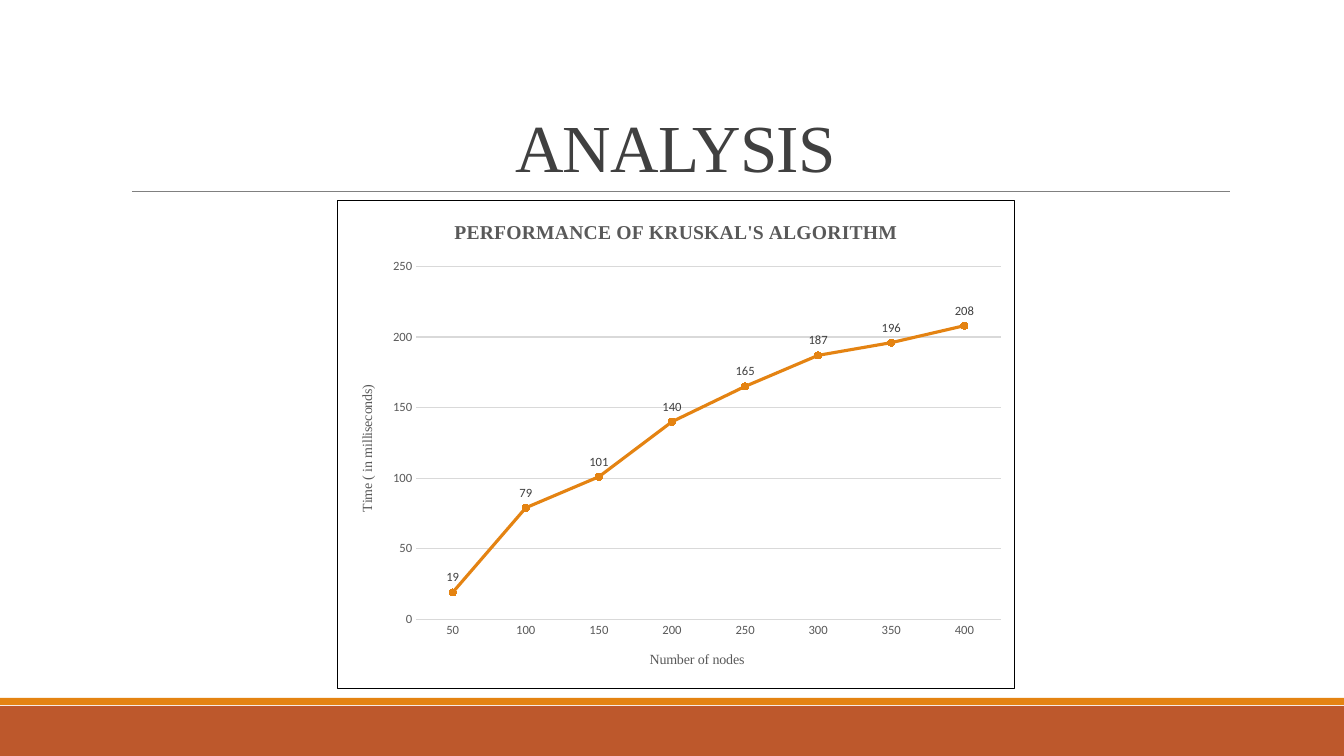
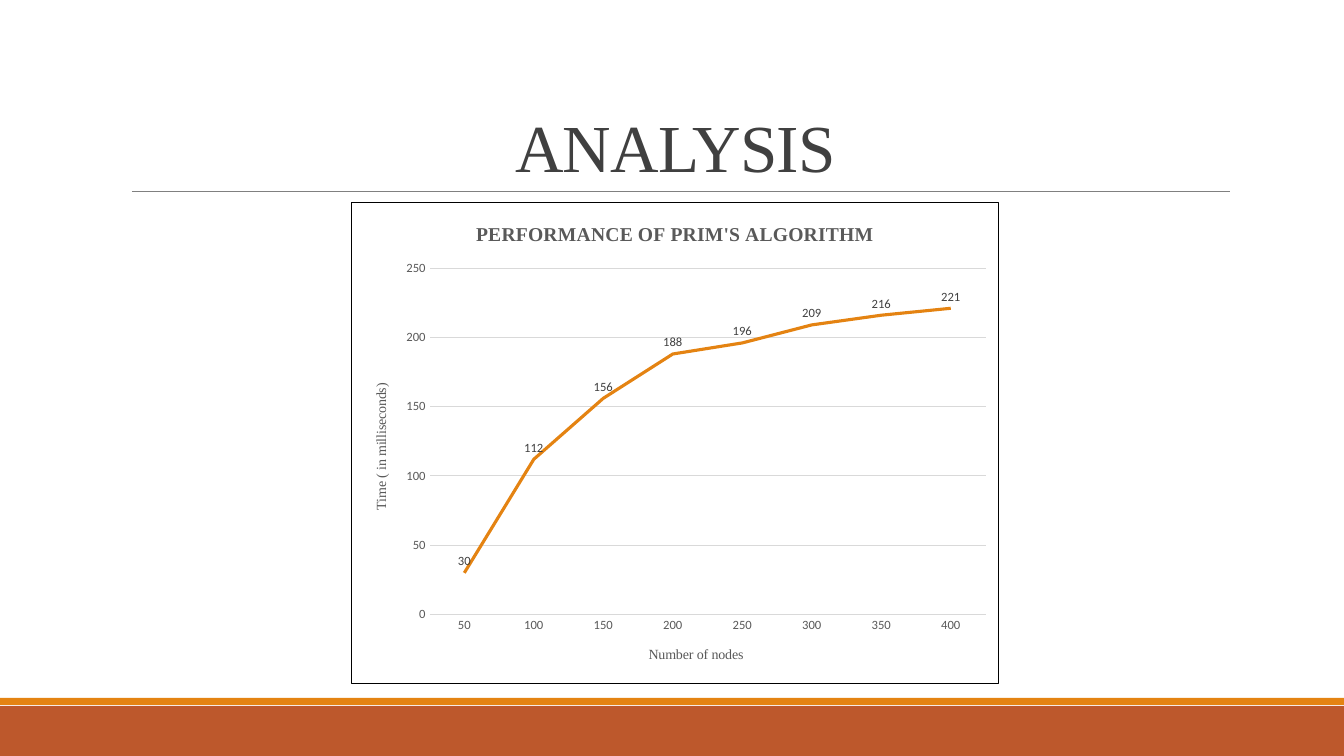
from dataclasses import dataclass

from lxml import etree
from pptx import Presentation, util as u
from pptx.chart import data as chart_data
from pptx.dml.color import RGBColor
from pptx.enum import chart as ec, shapes, text
from pptx.oxml import parse_xml
from pptx.oxml.ns import nsdecls, qn

EMU_PER_PX = 914400 / 100.8


def px(length: int) -> int:
    return round(length * EMU_PER_PX)


@dataclass(frozen=True)
class Theme:
    serif: str = "Times New Roman"
    sans: str = "Calibri"
    orange: str = "E48312"
    rust: str = "BD582C"
    rule: str = "808080"
    dark: str = "404040"
    muted: str = "595959"
    grid: str = "D9D9D9"
    border: str = "000000"
    heading_size: int = 48
    chart_title_size: int = 14
    axis_title_size: int = 10
    label_size: int = 9


@dataclass(frozen=True)
class Box:
    left: int
    top: int
    width: int
    height: int

    def emu(self) -> tuple[int, ...]:
        return tuple(px(n) for n in (self.left, self.top, self.width, self.height))


@dataclass(frozen=True)
class Band:
    box: Box
    color: str


@dataclass(frozen=True)
class Analysis:
    chart_title: str
    box: Box
    times: tuple[int, ...]
    markers: bool


THEME = Theme()
SLIDE_WIDTH, SLIDE_HEIGHT = 1344, 756
HEADING = Box(121, 31, 1109, 160)
RULE_LEFT, RULE_RIGHT, RULE_TOP = 132, 1230, 191
NODE_COUNTS = range(50, 401, 50)
BANDS = (
    Band(Box(0, 706, SLIDE_WIDTH, 50), THEME.rust),
    Band(Box(0, 698, SLIDE_WIDTH, 7), THEME.orange),
)
ANALYSES = (
    Analysis("PERFORMANCE OF KRUSKAL'S ALGORITHM", Box(337, 200, 678, 489),
             (19, 79, 101, 140, 165, 187, 196, 208), True),
    Analysis("PERFORMANCE OF PRIM'S ALGORITHM", Box(351, 202, 648, 482),
             (30, 112, 156, 188, 196, 209, 216, 221), False),
)


def style_font(font, name: str, size: int, color: str, bold: bool = False) -> None:
    font.name = name
    font.size = u.Pt(size)
    font.bold = bold
    font.color.rgb = RGBColor.from_string(color)


def style_line(line, color: str, width: float) -> None:
    line.color.rgb = RGBColor.from_string(color)
    line.width = u.Pt(width)


def set_text(frame, words: str, size: int, color: str, bold: bool = False) -> None:
    frame.text = words
    style_font(frame.paragraphs[0].runs[0].font, THEME.serif, size, color, bold)


def draw_frame(slide) -> None:
    for band in BANDS:
        strip = slide.shapes.add_shape(shapes.MSO_SHAPE.RECTANGLE, *band.box.emu())
        strip.shadow.inherit = False
        strip.fill.solid()
        strip.fill.fore_color.rgb = RGBColor.from_string(band.color)
        strip.line.fill.background()
    rule = slide.shapes.add_connector(
        shapes.MSO_CONNECTOR.STRAIGHT,
        px(RULE_LEFT), px(RULE_TOP), px(RULE_RIGHT), px(RULE_TOP))
    style_line(rule.line, THEME.rule, 0.5)
    etree.SubElement(rule.element.spPr, qn("a:effectLst"))


def write_heading(slide, words: str) -> None:
    heading = slide.shapes.title
    heading.left, heading.top, heading.width, heading.height = HEADING.emu()
    frame = heading.text_frame
    set_text(frame, words, THEME.heading_size, THEME.dark)
    frame.word_wrap = True
    frame.auto_size = text.MSO_AUTO_SIZE.NONE
    frame.vertical_anchor = text.MSO_ANCHOR.BOTTOM
    frame.paragraphs[0].alignment = text.PP_ALIGN.CENTER
    frame.paragraphs[0].line_spacing = 0.85
    for properties in heading.element.iter(qn("a:rPr")):
        properties.set("spc", "-50")


def style_axis(axis, words: str) -> None:
    axis.has_title = True
    set_text(axis.axis_title.text_frame, words, THEME.axis_title_size, THEME.muted)
    axis.major_tick_mark = axis.minor_tick_mark = ec.XL_TICK_MARK.NONE
    style_font(axis.tick_labels.font, THEME.sans, THEME.label_size, THEME.muted)


def add_border(chart) -> None:
    border = parse_xml(
        f'<c:spPr {nsdecls("c", "a")}><a:noFill/><a:ln w="9525"><a:solidFill>'
        f'<a:srgbClr val="{THEME.border}"/></a:solidFill></a:ln></c:spPr>')
    chart.element.find(qn("c:chart")).addnext(border)


def draw_chart(slide, analysis: Analysis) -> None:
    timings = chart_data.CategoryChartData()
    timings.categories = NODE_COUNTS
    timings.add_series("Series 1", analysis.times)
    kind = ec.XL_CHART_TYPE.LINE_MARKERS if analysis.markers else ec.XL_CHART_TYPE.LINE
    chart = slide.shapes.add_chart(kind, *analysis.box.emu(), timings).chart
    style_font(chart.font, THEME.sans, THEME.axis_title_size, THEME.border)
    chart.has_legend = False
    chart.has_title = True
    set_text(chart.chart_title.text_frame, analysis.chart_title,
             THEME.chart_title_size, THEME.muted, bold=True)
    add_border(chart)

    nodes, time = chart.category_axis, chart.value_axis
    style_axis(nodes, "Number of nodes")
    style_line(nodes.format.line, THEME.grid, 0.75)
    style_axis(time, "Time ( in milliseconds)")
    for body in time.axis_title.element.iter(qn("a:bodyPr")):
        body.set("rot", "-5400000")
        body.set("vert", "horz")
    time.format.line.fill.background()
    time.has_major_gridlines = True
    style_line(time.major_gridlines.format.line, THEME.grid, 0.75)
    time.minimum_scale, time.maximum_scale, time.major_unit = 0, 250, 50

    plot = chart.plots[0]
    plot.vary_by_categories = False
    curve = plot.series[0]
    curve.smooth = False
    style_line(curve.format.line, THEME.orange, 2.25)
    if analysis.markers:
        curve.marker.style = ec.XL_MARKER_STYLE.CIRCLE
        curve.marker.size = 5
        curve.marker.format.fill.solid()
        curve.marker.format.fill.fore_color.rgb = RGBColor.from_string(THEME.orange)
        style_line(curve.marker.format.line, THEME.orange, 0.75)
    labels = curve.data_labels
    labels.show_value = True
    labels.position = ec.XL_LABEL_POSITION.ABOVE
    style_font(labels.font, THEME.sans, THEME.label_size, THEME.dark)


def main() -> None:
    deck = Presentation()
    deck.slide_width, deck.slide_height = px(SLIDE_WIDTH), px(SLIDE_HEIGHT)
    title_only = deck.slide_layouts.get_by_name("Title Only")
    for analysis in ANALYSES:
        slide = deck.slides.add_slide(title_only)
        draw_frame(slide)
        write_heading(slide, "ANALYSIS")
        draw_chart(slide, analysis)
    deck.save("out.pptx")


if __name__ == "__main__":
    main()
